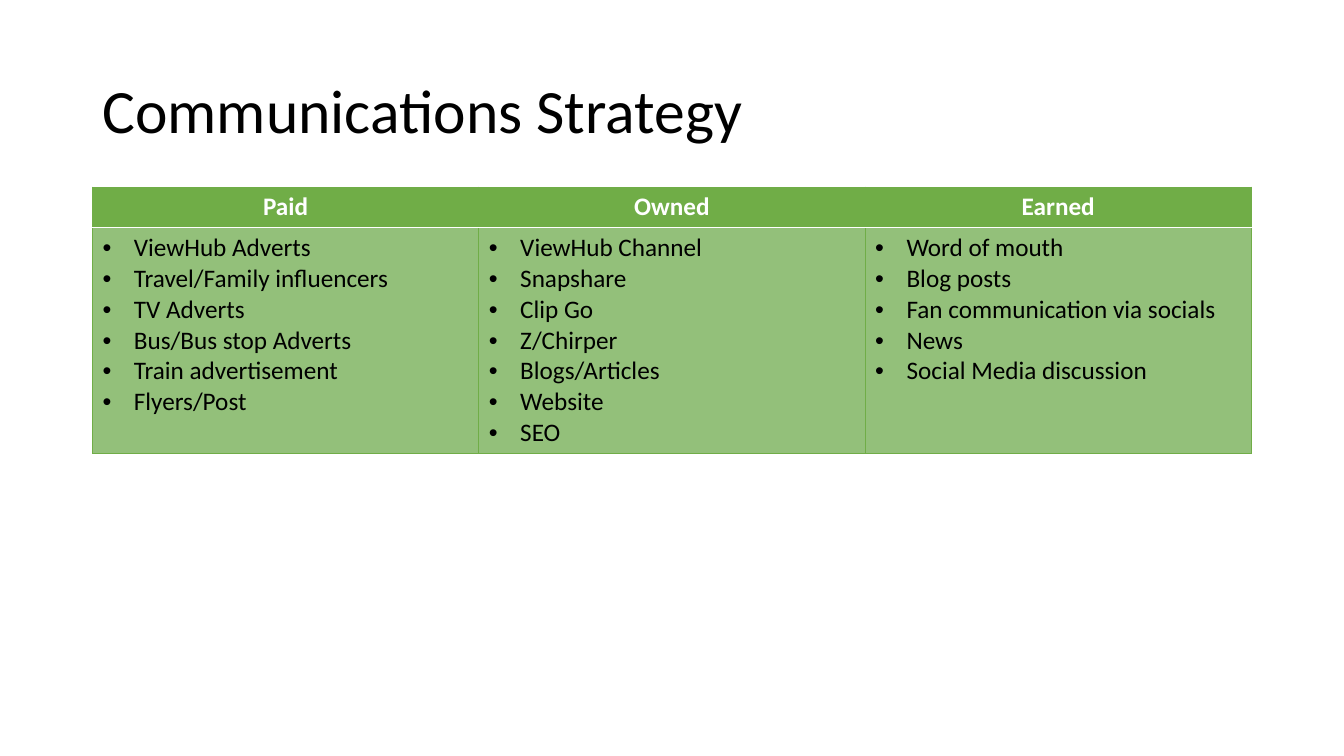
from lxml.etree import SubElement as Sub
from pptx import Presentation
from pptx.dml.color import RGBColor
from pptx.enum.text import MSO_ANCHOR, PP_ALIGN
from pptx.oxml.ns import qn
from pptx.util import Cm, Pt

GREEN, PALE, WHITE, BLACK = "70AD47", "93C07A", "FFFFFF", "000000"
LISTS = {
    "Paid": ["ViewHub Adverts", "Travel/Family influencers", "TV Adverts",
             "Bus/Bus stop Adverts", "Train advertisement", "Flyers/Post"],
    "Owned": ["ViewHub Channel", "Snapshare", "Clip Go", "Z/Chirper",
              "Blogs/Articles", "Website", "SEO"],
    "Earned": ["Word of mouth", "Blog posts", "Fan communication via socials",
               "News", "Social Media discussion"],
}


def style(para, size, color, bold=False):
    for run in para.runs:
        font = run.font
        font.name, font.size, font.bold = "Calibri", Pt(size), bold
        font.color.rgb = RGBColor.from_string(color)


def paint(cell, fill, top, low):
    # Borders come before the fill in the cell properties
    props = cell._tc.get_or_add_tcPr()
    for side, color in zip("LRTB", (GREEN, GREEN, top, low)):
        width = Pt(1 if color == WHITE else 0.5)
        line = Sub(props, qn("a:ln" + side), w=str(width))
        Sub(Sub(line, qn("a:solidFill")), qn("a:srgbClr"), val=color)
    cell.fill.solid()
    cell.fill.fore_color.rgb = RGBColor.from_string(fill)


deck = Presentation()
deck.slide_width, deck.slide_height = Cm(33.87), Cm(19.05)
slide = deck.slides.add_slide(deck.slide_layouts[5])

# Title
title = slide.shapes.title
title.left, title.top = Cm(2.33), Cm(1.01)
title.width, title.height = Cm(29.21), Cm(3.68)
frame = title.text_frame
frame.text = "Communications Strategy"
frame.vertical_anchor = MSO_ANCHOR.MIDDLE
head = frame.paragraphs[0]
head.alignment = PP_ALIGN.LEFT
head.line_spacing = 0.9
style(head, 44, BLACK)

# Table of media types
table = slide.shapes.add_table(
    2, len(LISTS), Cm(2.33), Cm(4.71), Cm(29.21), Cm(6.71)).table
table.rows[0].height, table.rows[1].height = Cm(1.03), Cm(5.68)

for col, (name, items) in enumerate(LISTS.items()):
    # Heading
    cell = table.cell(0, col)
    cell.text_frame.text = name
    para = cell.text_frame.paragraphs[0]
    para.alignment = PP_ALIGN.CENTER
    style(para, 18, WHITE, True)
    paint(cell, GREEN, GREEN, WHITE)

    # Bulleted list
    cell = table.cell(1, col)
    cell.text_frame.text = "\n".join(items)
    for para in cell.text_frame.paragraphs:
        style(para, 18, BLACK)
        props = para._p.get_or_add_pPr()
        props.set("marL", str(Cm(0.79)))
        props.set("indent", str(-Cm(0.79)))
        Sub(props, qn("a:buFont"), typeface="Arial")
        Sub(props, qn("a:buChar"), char="•")
    paint(cell, PALE, WHITE, GREEN)

deck.save("out.pptx")
